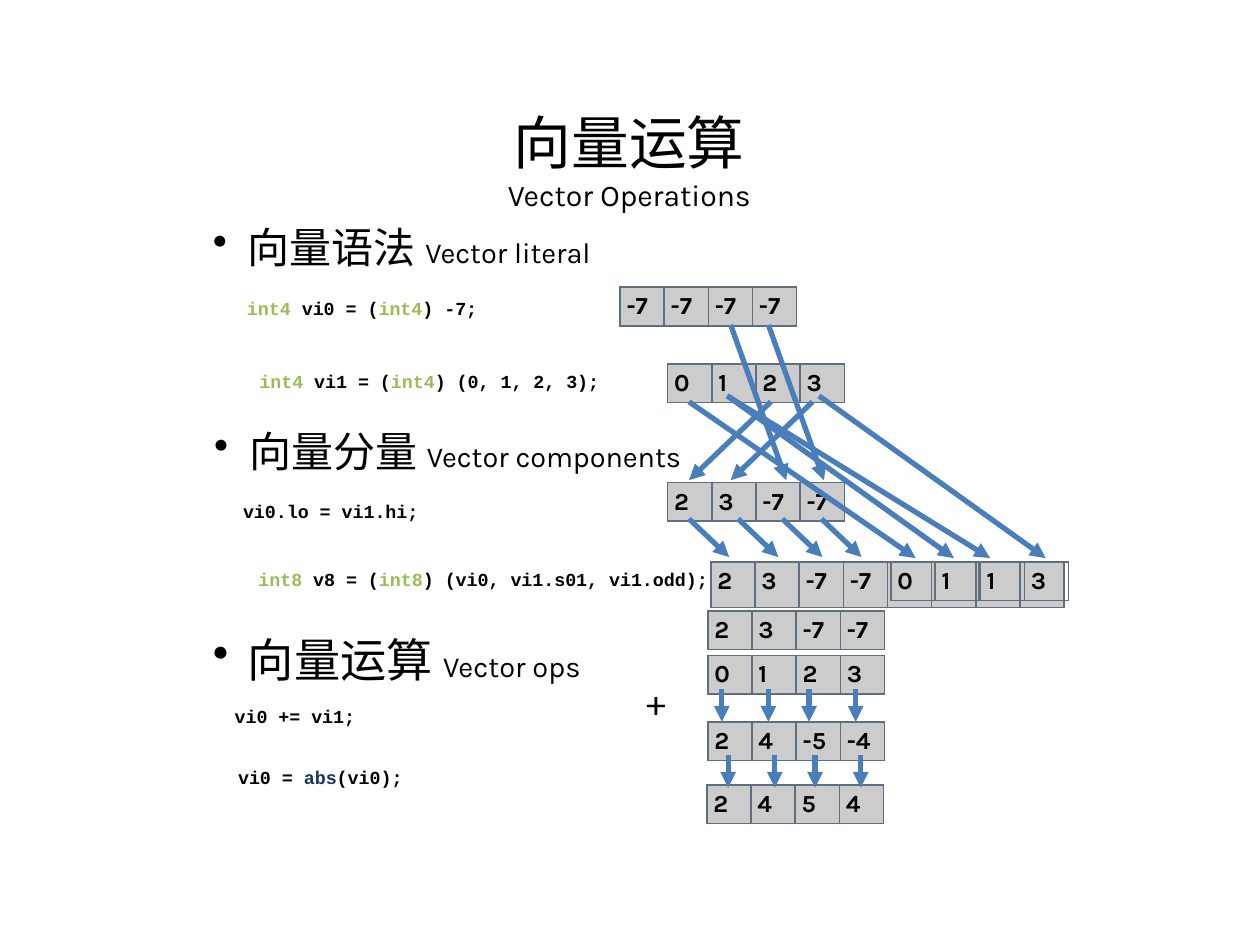
from lxml.etree import SubElement
from pptx import Presentation
from pptx.dml.color import RGBColor
from pptx.enum.shapes import MSO_CONNECTOR
from pptx.enum.text import MSO_ANCHOR, MSO_AUTO_SIZE, PP_ALIGN
from pptx.oxml.ns import qn
from pptx.util import Cm, Pt

BLACK, GREEN, NAVY, BLUE, SLATE = "000000", "9BBB59", "17375E", "4A7EBB", "5F6F7F"
TEXT_FONT, CODE_FONT = "Karla", "Courier New"
CELL_WIDTH, CELL_HEIGHT = 0.89, 0.76

HEADINGS = [
    (4.11, 4.37, 9.0, "向量语法 ", 24, "Vector literal", 16.5),
    (4.14, 8.48, 10.5, "向量分量 ", 24, "Vector components", 16.5),
    (4.11, 12.62, 8.13, "向量运算 ", 26.4, "Vector ops", 16.6),
]
CODE_LINES = [
    (4.8, 5.89, 4.39, [("int4", GREEN), (" vi0 = (", BLACK), ("int4", GREEN), (") -7;", BLACK)]),
    (5.05, 7.37, 6.15, [("int4", GREEN), (" vi1 = (", BLACK), ("int4", GREEN), (") (0, 1, 2, 3);", BLACK)]),
    (4.72, 9.98, 3.4, [("vi0.lo = vi1.hi;", BLACK)]),
    (5.03, 11.35, 8.41, [("int8", GREEN), (" v8 = (", BLACK), ("int8", GREEN),
                         (") (vi0, vi1.s01, vi1.odd);", BLACK)]),
    (4.55, 14.12, 2.67, [("vi0 += vi1;", BLACK)]),
    (4.62, 15.34, 3.43, [("vi0 = ", BLACK), ("abs", NAVY), ("(vi0);", BLACK)]),
]
VECTORS = [
    (12.5, 5.79, ["-7", "-7", "-7", "-7"], True),
    (13.46, 7.34, ["0", "1", "2", "3"], True),
    (13.46, 9.73, ["2", "3", "-7", "-7"], True),
    (14.33, 11.33, ["2", "3", "-7", "-7", "", "", "", ""], True),
    (17.96, 11.33, ["0", "1"], False),
    (19.76, 11.33, ["1", "3"], False),
    (14.27, 12.32, ["2", "3", "-7", "-7"], True),
    (14.27, 13.21, ["0", "1", "2", "3"], True),
    (14.27, 14.55, ["2", "4", "-5", "-4"], True),
    (14.25, 15.82, ["2", "4", "5", "4"], True),
]
ARROW_GROUPS = [
    ([15.54, 16.38], 8.1, -1.65, 9.68),
    ([14.73, 15.49], 6.55, 1.12, 9.68),
    ([13.89, 14.88, 15.77, 16.56], 10.46, 0.81, 11.23),
    ([13.89], 8.1, 4.57, 11.25),
    ([14.66, 16.51], 7.98, 4.57, 11.25),
    ([14.66], 7.98, 5.3, 11.25),
    ([14.55, 15.49, 16.31, 17.25], 13.89, 0, 14.55),
    ([14.68, 15.62, 16.43, 17.35], 15.21, 0, 15.88),
]


def color(value):
    """Turn a hex string into a colour."""
    return RGBColor.from_string(value)


def add_span(para, text, size, font=TEXT_FONT, tint=BLACK, bold=False):
    """Append one formatted run."""
    span = para.add_run()
    span.text = text
    span.font.size = Pt(size)
    span.font.name = font
    span.font.bold = bold
    span.font.color.rgb = color(tint)


def set_frame(frame, wrap=True):
    """Give a text frame its margins and wrapping."""
    frame.margin_left = frame.margin_right = Cm(0.18)
    frame.margin_top = frame.margin_bottom = Cm(0.1)
    frame.auto_size = MSO_AUTO_SIZE.NONE
    frame.word_wrap = wrap


def add_box(page, left, top, width, height, wrap=True):
    """Add a text box and return its first paragraph."""
    box = page.shapes.add_textbox(Cm(left), Cm(top), Cm(width), Cm(height))
    set_frame(box.text_frame, wrap)
    return box.text_frame.paragraphs[0]


def set_title(page):
    """Place and fill the title placeholder."""
    title = page.shapes.title
    title.left, title.top, title.width, title.height = Cm(4.11), Cm(2.03), Cm(17.15), Cm(2.39)
    frame = title.text_frame
    set_frame(frame)
    frame.vertical_anchor = MSO_ANCHOR.MIDDLE
    for para, text, size in [(frame.paragraphs[0], "向量运算", 33),
                             (frame.add_paragraph(), "Vector Operations", 17.2)]:
        para.alignment = PP_ALIGN.CENTER
        add_span(para, text, size)


def add_heading(page, left, top, width, chinese, chinese_size, english, english_size):
    """Add a bulleted bilingual heading."""
    para = add_box(page, left, top, width, 1.4)
    properties = para._p.get_or_add_pPr()
    properties.set("marL", str(Cm(0.71)))
    properties.set("indent", str(-Cm(0.71)))
    bullet_color = SubElement(properties, qn("a:buClr"))
    SubElement(bullet_color, qn("a:srgbClr"), val=BLACK)
    SubElement(properties, qn("a:buChar"), char="•")
    add_span(para, chinese, chinese_size)
    add_span(para, english, english_size)


def add_code(page, left, top, width, parts):
    """Add one line of coloured code."""
    para = add_box(page, left, top, width, 0.64, wrap=False)
    for text, tint in parts:
        add_span(para, text, 10.5, CODE_FONT, tint, bold=True)


def style_cell(cell, shaded):
    """Give a cell its borders, margins and translucent fill."""
    properties = cell._tc.get_or_add_tcPr()
    for side in ("lnL", "lnR", "lnT", "lnB"):
        border = SubElement(properties, qn(f"a:{side}"), w=str(Pt(0.96)))
        fill = SubElement(border, qn("a:solidFill"))
        SubElement(fill, qn("a:srgbClr"), val=SLATE)
    cell.margin_left = cell.margin_right = Cm(0.05)
    cell.margin_top = cell.margin_bottom = Cm(0.1)
    if shaded:
        cell.fill.solid()
        cell.fill.fore_color.rgb = color(BLACK)
        SubElement(next(properties.find(qn("a:solidFill")).iter(qn("a:srgbClr"))),
                   qn("a:alpha"), val="20000")
    else:
        cell.fill.background()


def add_vector(page, left, top, values, shaded):
    """Add a one-row table of vector components."""
    table = page.shapes.add_table(1, len(values), Cm(left), Cm(top),
                                  Cm(CELL_WIDTH * len(values)), Cm(CELL_HEIGHT)).table
    table.first_row = table.horz_banding = False
    for column, value in enumerate(values):
        table.columns[column].width = Cm(CELL_WIDTH)
        cell = table.cell(0, column)
        style_cell(cell, shaded)
        para = cell.text_frame.paragraphs[0]
        para._p.get_or_add_pPr().set("marL", str(Cm(0.08)))
        add_span(para, value, 14, bold=True)


def add_arrow(page, start_x, start_y, end_x, end_y):
    """Add a straight arrow."""
    arrow = page.shapes.add_connector(MSO_CONNECTOR.STRAIGHT, Cm(start_x), Cm(start_y),
                                      Cm(end_x), Cm(end_y))
    arrow.line.color.rgb = color(BLUE)
    arrow.line.width = Pt(3)
    SubElement(arrow.line._get_or_add_ln(), qn("a:tailEnd"), type="triangle")
    SubElement(arrow._element.spPr, qn("a:effectLst"))


def main():
    """Build the vector operations slide."""
    deck = Presentation()
    deck.slide_width, deck.slide_height = Cm(25.4), Cm(19.05)
    page = deck.slides.add_slide(deck.slide_layouts[5])
    set_title(page)
    for heading in HEADINGS:
        add_heading(page, *heading)
    for line in CODE_LINES:
        add_code(page, *line)
    for vector in VECTORS:
        add_vector(page, *vector)
    add_span(add_box(page, 12.85, 13.59, 0.9, 1.07), "+", 21)
    for starts, start_y, shift, end_y in ARROW_GROUPS:
        for start_x in starts:
            add_arrow(page, start_x, start_y, start_x + shift, end_y)
    deck.save("out.pptx")


if __name__ == "__main__":
    main()
